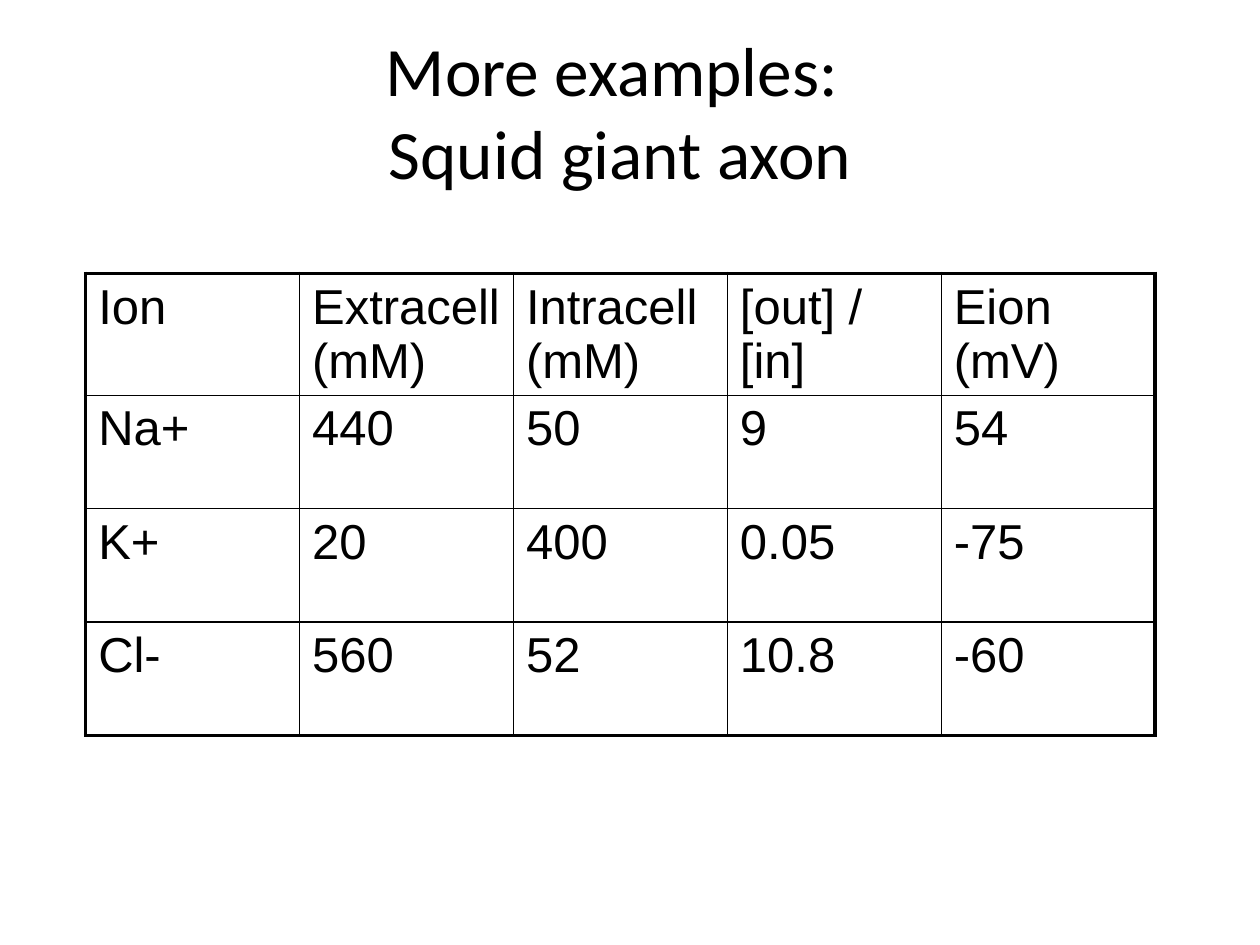
from dataclasses import dataclass

from lxml import etree
from pptx import Presentation
from pptx import util as u
from pptx.dml import color
from pptx.enum import text
from pptx.oxml import ns


@dataclass(frozen=True)
class Theme:
    ink: str = "000000"
    title_font: str = "Calibri"
    table_font: str = "Arial"
    title_size: float = 39.6
    table_size: float = 28
    outer_line: float = 2.25
    inner_line: float = 1


THEME = Theme()

ION_ROWS = [
    ["Ion", "Extracell (mM)", "Intracell (mM)", "[out] / [in]", "Eion (mV)"],
    ["Na+", "440", "50", "9", "54"],
    ["K+", "20", "400", "0.05", "-75"],
    ["Cl-", "560", "52", "10.8", "-60"],
]


def style_font(font, name, size):
    font.name = name
    font.size = u.Pt(size)
    font.color.rgb = color.RGBColor.from_string(THEME.ink)


def set_borders(cell, outer_sides):
    """Draw all four sides, heavier where the cell meets the table's edge."""
    properties = cell._tc.get_or_add_tcPr()
    for position, (side, is_outer) in enumerate(outer_sides.items()):
        width = THEME.outer_line if is_outer else THEME.inner_line
        line = etree.Element(ns.qn(f"a:ln{side}"), w=str(u.Pt(width)))
        fill = etree.SubElement(line, ns.qn("a:solidFill"))
        etree.SubElement(fill, ns.qn("a:srgbClr"), val=THEME.ink)
        properties.insert(position, line)


def add_heading(slide, left, top, width, height):
    title = slide.shapes.title
    title.left, title.top, title.width, title.height = left, top, width, height
    frame = title.text_frame
    frame.word_wrap = True
    frame.vertical_anchor = text.MSO_ANCHOR.MIDDLE
    heading = frame.paragraphs[0]
    heading.text = "More examples: \vSquid giant axon"
    heading.alignment = text.PP_ALIGN.CENTER
    style_font(heading.font, THEME.title_font, THEME.title_size)


def add_ion_table(slide, left, top, width, height):
    last_row, last_col = len(ION_ROWS) - 1, len(ION_ROWS[0]) - 1
    ions = slide.shapes.add_table(
        last_row + 1, last_col + 1, left, top, width, height
    ).table
    ions.first_row = ions.horz_banding = False

    for r, values in enumerate(ION_ROWS):
        for c, value in enumerate(values):
            cell = ions.cell(r, c)
            cell.text = value
            style_font(cell.text_frame.paragraphs[0].font,
                       THEME.table_font, THEME.table_size)
            cell.fill.background()
            set_borders(cell, {"L": c == 0, "R": c == last_col,
                               "T": r == 0, "B": r == last_row})


def main():
    deck = Presentation()
    deck.slide_width, deck.slide_height = u.Inches(10), u.Inches(7.5)
    slide = deck.slides.add_slide(deck.slide_layouts[5])

    # Heading
    add_heading(slide, u.Inches(0.67), u.Inches(0.25),
                u.Inches(8.5), u.Inches(1.25))
    # Ion concentrations and equilibrium potentials
    add_ion_table(slide, u.Inches(0.68), u.Inches(2.17),
                  u.Inches(8.49), u.Inches(3.6))

    deck.save("out.pptx")


if __name__ == "__main__":
    main()
